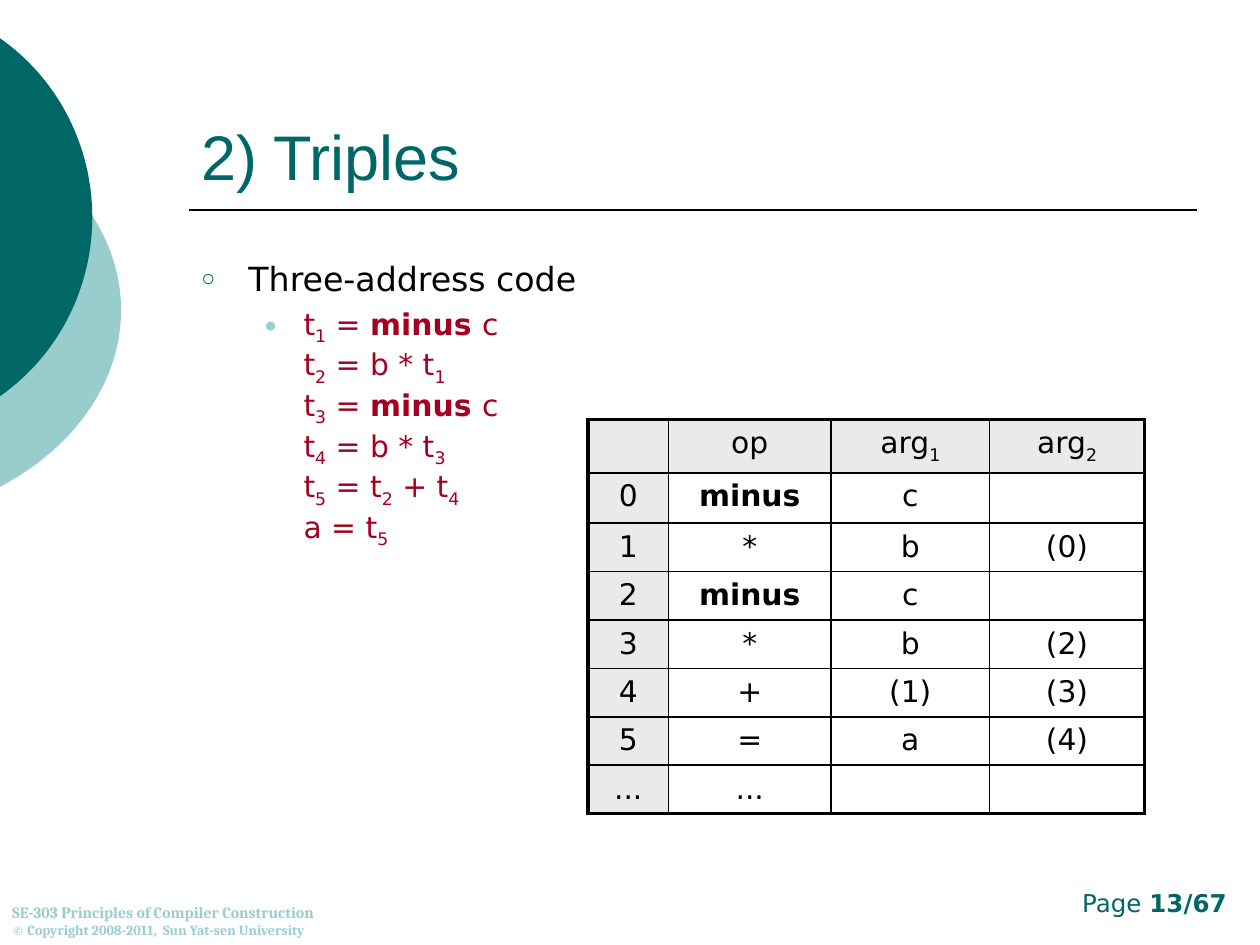
import copy

import pptx
import pptx.dml.color
import pptx.enum.shapes
import pptx.enum.text
import pptx.oxml
import pptx.oxml.ns
import pptx.util

Cm = pptx.util.Cm
Pt = pptx.util.Pt
Align = pptx.enum.text.PP_ALIGN
Anchor = pptx.enum.text.MSO_ANCHOR
NS = pptx.oxml.ns.nsdecls("a")

HUES = {"teal": "006666", "pale": "99CCCC", "ink": "000000",
        "red": "A50021", "gray": "EAEAEA"}
RGB = {name: pptx.dml.color.RGBColor.from_string(hue) for name, hue in HUES.items()}

deck = pptx.Presentation()
deck.slide_width, deck.slide_height = Cm(25.4), Cm(19.05)
slide = deck.slides.add_slide(deck.slide_layouts[6])


def put(para, text, hue, **fmt):
    """Add runs split at ~; a part led by _ is subscript, by ^ is bold."""
    for part in text.split("~"):
        run = para.add_run()
        run.text = part.lstrip("_^")
        for name, value in fmt.items():
            setattr(run.font, name, value)
        run.font.color.rgb = RGB[hue]
        if part.startswith("^"):
            run.font.bold = True
        if part.startswith("_"):
            run.font._element.set("baseline", "-25000")


def box(left, top, width, height, anchor=Anchor.TOP):
    frame = slide.shapes.add_textbox(Cm(left), Cm(top), Cm(width), Cm(height)).text_frame
    frame.word_wrap = True
    frame.vertical_anchor = anchor
    return frame


# Two discs that run off the left edge
for hue, left, top, width, height in (("pale", -8.99, 1.91, 11.43, 8.69),
                                      ("teal", -6.73, 0, 8.59, 8.76)):
    disc = slide.shapes.add_shape(pptx.enum.shapes.MSO_SHAPE.OVAL,
                                  Cm(left), Cm(top), Cm(width), Cm(height))
    disc.shadow.inherit = False
    disc.fill.solid()
    disc.fill.fore_color.rgb = RGB[hue]
    disc.line.fill.background()

rule = slide.shapes.add_connector(pptx.enum.shapes.MSO_CONNECTOR.STRAIGHT,
                                  Cm(3.81), Cm(4.23), Cm(24.13), Cm(4.23))
rule.line.color.rgb = RGB["ink"]
rule.line.width = Pt(1)
rule._element.spPr.append(pptx.oxml.parse_xml(f"<a:effectLst {NS}/>"))

# Title, page number and footer
title = box(3.81, 0.85, 20.32, 3.17, Anchor.BOTTOM)
put(title.paragraphs[0], "2) Triples", "teal", name="Arial", size=Pt(36))

page = box(19.26, 17.78, 5.72, 0.85).paragraphs[0]
page.alignment = Align.RIGHT
put(page, "Page ~^13/67", "teal", name="DejaVu Sans", size=Pt(14))

foot = box(0, 17.78, 8.68, 1.27, Anchor.BOTTOM)
put(foot.paragraphs[0], "SE-303 Principles of Compiler Construction", "pale",
    name="Cambria", size=Pt(9), bold=True)
put(foot.add_paragraph(), "© Copyright 2008-2011,  Sun Yat-sen University", "pale",
    name="Cambria", size=Pt(8), bold=True)

# Code list
CODE = ["t~_1~ = ~^minus ~c", "t~_2~ = b * t~_1", "t~_3~ = ~^minus ~c",
        "t~_4~ = b * t~_3", "t~_5~ = t~_2~ + t~_4", "a = t~_5"]
body = box(3.81, 5.08, 20.32, 11.43)
head, code = body.paragraphs[0], body.add_paragraph()
code.level = 1
code.space_before = Pt(4.25)
for para, left, hang, hue, mark in ((head, 0.95, 0.95, "teal", "○"),
                                    (code, 2.06, 0.79, "pale", "●")):
    props = para._p.get_or_add_pPr()
    props.set("marL", str(Cm(left)))
    props.set("indent", str(-Cm(hang)))
    for xml in (f'<a:buClr {NS}><a:srgbClr val="{HUES[hue]}"/></a:buClr>',
                f'<a:buSzPct {NS} val="70000"/>',
                f'<a:buFont {NS} typeface="Arial"/>',
                f'<a:buChar {NS} char="{mark}"/>'):
        props.append(pptx.oxml.parse_xml(xml))

put(head, "Three-address code", "ink", name="DejaVu Sans", size=Pt(19))
for i, line in enumerate(CODE):
    if i:
        font = copy.deepcopy(code.runs[-1].font._element)
        code.add_line_break()
        code._p[-1].append(font)
    put(code, line, "red", name="DejaVu Sans", size=Pt(17))

# Table of triples
ROWS = [["", "op", "arg~_1", "arg~_2"],
        ["0", "^minus", "c", ""],
        ["1", "*", "b", "(0)"],
        ["2", "^minus", "c", ""],
        ["3", "*", "b", "(2)"],
        ["4", "+", "(1)", "(3)"],
        ["5", "=", "a", "(4)"],
        ["...", "...", "", ""]]
WIDE = [1.63, 3.27, 3.2, 3.12]
TALL = [0.96, 1.01, 0.96, 0.98, 0.96, 0.96, 0.96, 0.96]
grid = slide.shapes.add_table(len(TALL), len(WIDE), Cm(11.85), Cm(8.46),
                              Cm(sum(WIDE)), Cm(sum(TALL))).table
grid.first_row = grid.horz_banding = False
for col, width in zip(grid.columns, WIDE):
    col.width = Cm(width)
for row, height in zip(grid.rows, TALL):
    row.height = Cm(height)

for r, texts in enumerate(ROWS):
    for c, text in enumerate(texts):
        cell = grid.cell(r, c)
        para = cell.text_frame.paragraphs[0]
        para.alignment = Align.CENTER
        if text:
            put(para, text, "ink", name="DejaVu Sans", size=Pt(17))
        else:
            para._p.append(pptx.oxml.parse_xml(f'<a:endParaRPr {NS} sz="1700"/>'))
        outer = {"L": c == 0, "R": c == len(WIDE) - 1,
                 "T": r == 0, "B": r == len(TALL) - 1}
        for side, thick in outer.items():
            cell._tc.get_or_add_tcPr().append(pptx.oxml.parse_xml(
                f'<a:ln{side} {NS} w="{Pt(2.25 if thick else 1)}"><a:solidFill>'
                f'<a:srgbClr val="{HUES["ink"]}"/></a:solidFill></a:ln{side}>'))
        if r == 0 or c == 0:
            cell.fill.solid()
            cell.fill.fore_color.rgb = RGB["gray"]
        else:
            cell.fill.background()

deck.save("out.pptx")
